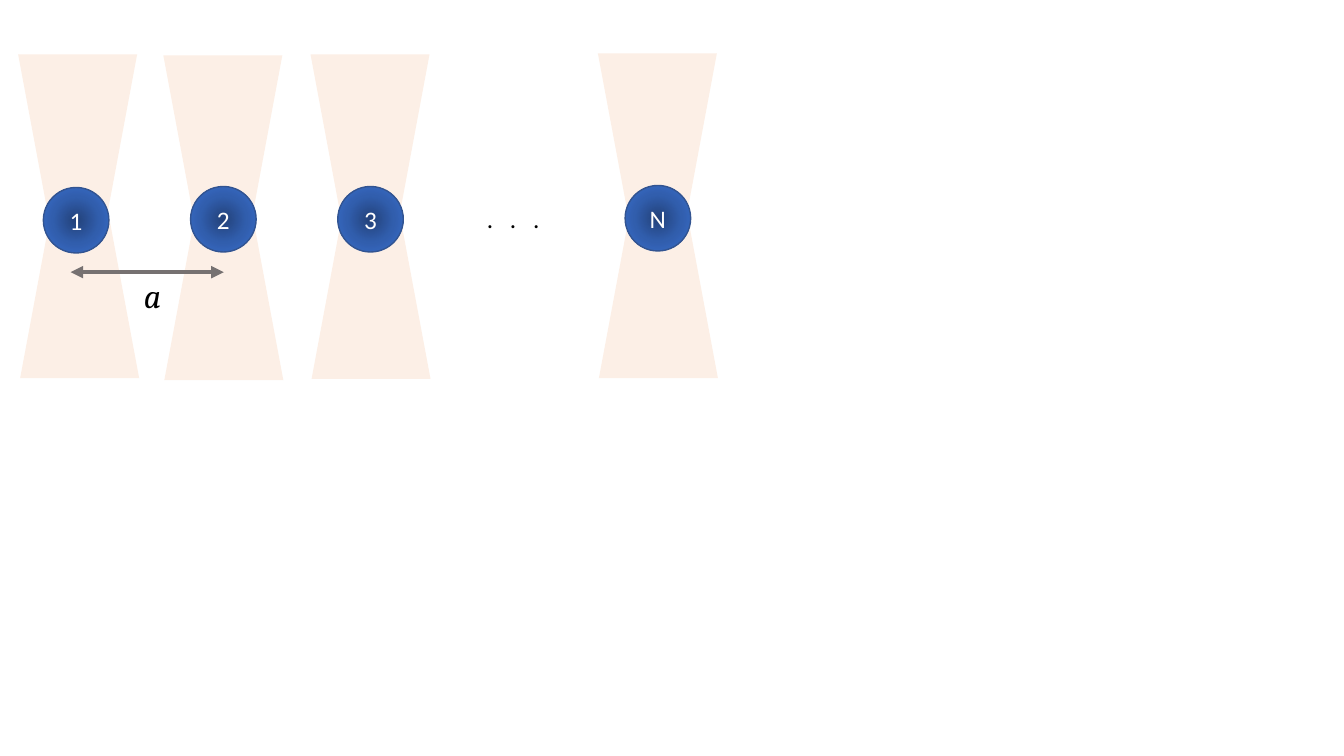
import pptx
import pptx.dml.color
import pptx.enum.shapes
import pptx.enum.text
import pptx.oxml
import pptx.oxml.ns
import pptx.util
from pptx.util import Inches

BEAM_WIDTH, BEAM_HEIGHT, ATOM_SIZE = 1.18, 1.58, 0.65
# Label, then left and top of the upper beam, the lower beam and the atom
SITES = [
    ("1", (0.18, 0.54), (0.20, 2.17), (0.43, 1.86)),
    ("2", (1.62, 0.55), (1.63, 2.19), (1.89, 1.85)),
    ("3", (3.08, 0.54), (3.09, 2.18), (3.35, 1.85)),
    ("N", (5.93, 0.53), (5.94, 2.17), (6.20, 1.84)),
]
ATOM_STOPS = [(0, "23427A"), (50, "315EAD"), (100, "3A6FCE")]


def color(value):
    return pptx.dml.color.RGBColor.from_string(value)


def drawing_element(markup):
    """Parse one DrawingML element whose root tag declares the a: namespace."""
    return pptx.oxml.parse_xml(markup.replace(
        "{ns}", pptx.oxml.ns.nsdecls("a")))


def style_text(paragraph, text, size, font_name, font_color):
    paragraph.text = text
    paragraph.font.size = pptx.util.Pt(size)
    paragraph.font.name = font_name
    paragraph.font.color.rgb = color(font_color)


def add_beam(slide, left, top, rotation):
    beam = slide.shapes.add_shape(
        pptx.enum.shapes.MSO_SHAPE.TRAPEZOID, Inches(left), Inches(top),
        Inches(BEAM_WIDTH), Inches(BEAM_HEIGHT))
    beam.rotation = rotation
    beam.shadow.inherit = False
    beam.line.fill.background()
    beam.fill.solid()
    beam.fill.fore_color.rgb = color("F4B183")
    fill_color = beam._element.spPr.find(
        ".//" + pptx.oxml.ns.qn("a:srgbClr"))
    fill_color.append(drawing_element('<a:alpha {ns} val="20000"/>'))


def add_atom(slide, left, top, label):
    atom = slide.shapes.add_shape(
        pptx.enum.shapes.MSO_SHAPE.OVAL, Inches(left), Inches(top),
        Inches(ATOM_SIZE), Inches(ATOM_SIZE))
    atom.shadow.inherit = False
    atom.line.color.rgb = color("325491")
    atom.line.width = pptx.util.Pt(1)
    stops = "".join(
        f'<a:gs pos="{position * 1000}"><a:srgbClr val="{value}"/></a:gs>'
        for position, value in ATOM_STOPS)
    gradient = drawing_element(
        '<a:gradFill {ns} rotWithShape="1"><a:gsLst>' + stops + '</a:gsLst>'
        '<a:path path="circle"><a:fillToRect l="50000" t="50000" r="50000" '
        'b="50000"/></a:path></a:gradFill>')
    geometry = atom._element.spPr.find(pptx.oxml.ns.qn("a:prstGeom"))
    geometry.addnext(gradient)
    atom.text_frame.vertical_anchor = pptx.enum.text.MSO_ANCHOR.MIDDLE
    paragraph = atom.text_frame.paragraphs[0]
    paragraph.alignment = pptx.enum.text.PP_ALIGN.CENTER
    style_text(paragraph, label, 18, "Calibri", "FFFFFF")


def add_site(slide, label, upper, lower, atom):
    """Draw one trapped atom at the waist of its two beam halves."""
    add_beam(slide, *lower, rotation=0)
    add_beam(slide, *upper, rotation=180)
    add_atom(slide, *atom, label)


def add_label(slide, left, top, width, height, text, size, font_name):
    box = slide.shapes.add_textbox(
        Inches(left), Inches(top), Inches(width), Inches(height))
    paragraph = box.text_frame.paragraphs[0]
    style_text(paragraph, text, size, font_name, "000000")
    return box.text_frame


def add_ellipsis(slide, left, top, width, height):
    frame = add_label(
        slide, left, top, width, height, ". . .", 18, "Calibri")
    frame.word_wrap = False
    run = frame.paragraphs[0].runs[0]
    run._r.get_or_add_rPr().set("spc", "400")


def add_spacing(slide, left, top, width):
    """Draw the double arrow for the lattice spacing, with its symbol."""
    arrow = slide.shapes.add_connector(
        pptx.enum.shapes.MSO_CONNECTOR.STRAIGHT, Inches(left), Inches(top),
        Inches(left + width), Inches(top))
    arrow.line.color.rgb = color("767171")
    arrow.line.width = pptx.util.Pt(3)
    line = arrow.line._get_or_add_ln()
    for end in ("headEnd", "tailEnd"):
        line.append(drawing_element(f'<a:{end} {{ns}} type="triangle"/>'))
    arrow._element.spPr.append(drawing_element('<a:effectLst {ns}/>'))
    frame = add_label(
        slide, left + 0.63, top - 0.02, 0.33, 0.5, "a", 24, "Cambria")
    frame.word_wrap = True
    frame.paragraphs[0].font.italic = True


def main():
    presentation = pptx.Presentation()
    presentation.slide_width = Inches(13.33)
    presentation.slide_height = Inches(7.5)
    slide = presentation.slides.add_slide(presentation.slide_layouts[6])
    for site in SITES:
        add_site(slide, *site)
    add_ellipsis(slide, 4.73, 1.97, 0.79, 0.4)
    add_spacing(slide, 0.7, 2.7, 1.52)
    presentation.save("out.pptx")


if __name__ == "__main__":
    main()
